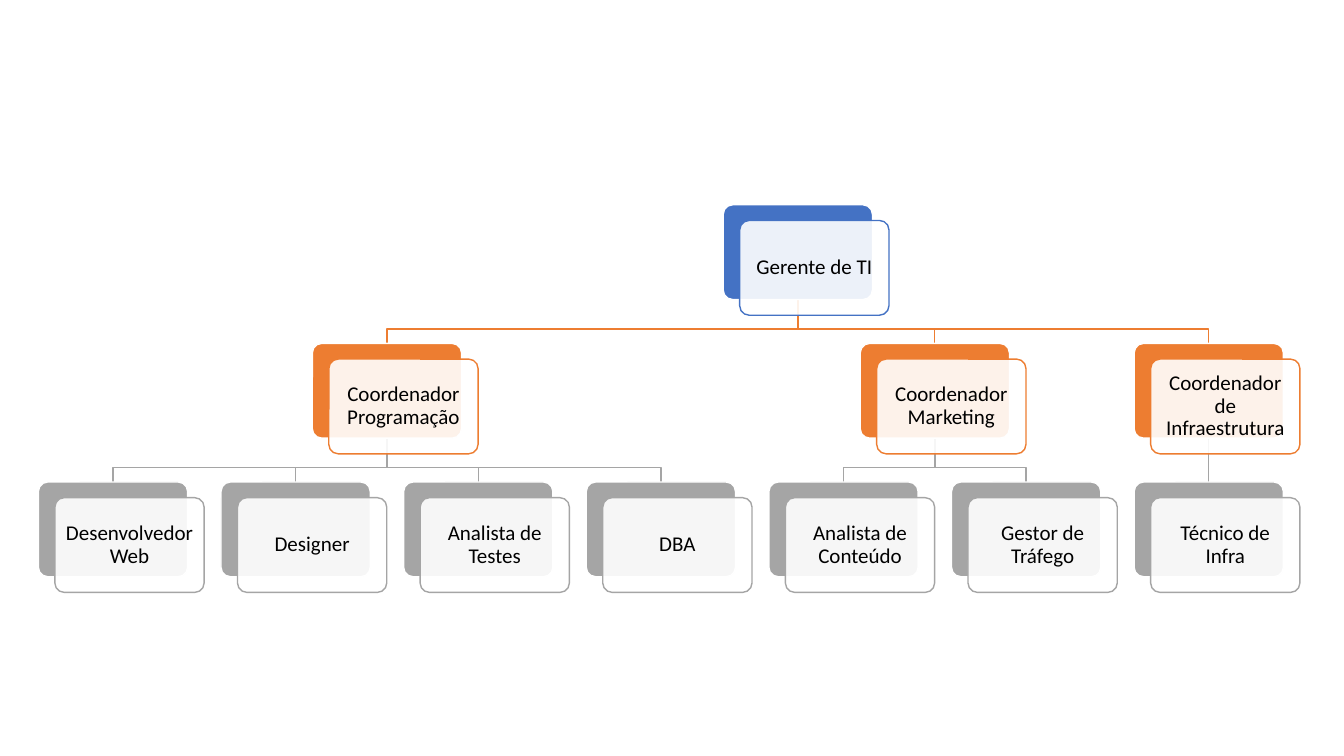
from lxml.etree import SubElement as Sub
from pptx import Presentation
from pptx.dml.color import RGBColor as RGB
from pptx.enum.shapes import MSO_CONNECTOR as LINK, MSO_SHAPE as KIND
from pptx.enum.text import MSO_ANCHOR as ANC, PP_ALIGN as ALIGN
from pptx.oxml.ns import qn
from pptx.util import Pt

TREE = ("Gerente de TI", [
    ("Coordenador Programação", [
        ("Desenvolvedor Web", []),
        ("Designer", []),
        ("Analista de Testes", []),
        ("DBA", []),
    ]),
    ("Coordenador Marketing", [
        ("Analista de Conteúdo", []),
        ("Gestor de Tráfego", []),
    ]),
    ("Coordenador de Infraestrutura", [
        ("Técnico de Infra", []),
    ]),
])

THEME = {
    "ranks": ("4472C4", "ED7D31", "A5A5A5"),
    "paper": "FFFFFF",
    "ink": "000000",
    "font": "Calibri",
    "size": 15,
    "line": 1,
    "alpha": 90,
}

PAGE = (960, 540)
LEFT, TOP = 27.4, 146.3
STEP_X, STEP_Y = 130.45, 99
WIDE, HIGH = 106.6, 67.7
SHIFT_X, SHIFT_Y = 11.8, 11.2
DROP = 21.1
ROUND = 0.1
INSET = 4.2


def put(obj, vals):
    for key, val in vals.items():
        setattr(obj, key, val)


def tint(name):
    return RGB.from_string(THEME[name] if name in THEME else name)


def edge(shape, hue):
    shape.line.color.rgb = tint(hue)
    shape.line.width = Pt(THEME["line"])


def place(node, rank=0, col=0):
    name, kids = node
    subs, span = [], 0
    for kid in kids:
        sub = place(kid, rank + 1, col + span)
        subs.append(sub)
        span += sub["span"]
    spot = (subs[0]["col"] + subs[-1]["col"]) / 2 if subs else col
    return {"name": name, "rank": rank, "col": spot, "span": span or 1,
            "kids": subs, "x": LEFT + spot * STEP_X, "y": TOP + rank * STEP_Y}


def walk(node):
    yield node
    for kid in node["kids"]:
        yield from walk(kid)


def join(shapes, boss, kid):
    hue = THEME["ranks"][kid["rank"]]
    ax, bx = boss["x"] + WIDE / 2, kid["x"] + WIDE / 2
    ay, by = boss["y"] + HIGH, kid["y"]
    if abs(ax - bx) < 0.01:
        link = shapes.add_connector(LINK.STRAIGHT, Pt(ax), Pt(ay), Pt(bx), Pt(by))
        Sub(link._element.spPr, qn("a:effectLst"))
    else:
        bend = ay + DROP
        pen = shapes.build_freeform(Pt(ax), Pt(ay))
        pen.add_line_segments(
            [(Pt(x), Pt(y)) for x, y in ((ax, bend), (bx, bend), (bx, by))], close=False)
        link = pen.convert_to_shape()
        link.fill.background()
        link.shadow.inherit = False
    edge(link, hue)


def plate(shapes, x, y, fill, line):
    shape = shapes.add_shape(KIND.ROUNDED_RECTANGLE, Pt(x), Pt(y), Pt(WIDE), Pt(HIGH))
    shape.adjustments[0] = ROUND
    shape.shadow.inherit = False
    shape.fill.solid()
    shape.fill.fore_color.rgb = tint(fill)
    edge(shape, line)
    return shape


def card(shapes, node):
    hue = THEME["ranks"][node["rank"]]
    x, y = node["x"], node["y"]
    plate(shapes, x, y, hue, "paper")
    front = plate(shapes, x + SHIFT_X, y + SHIFT_Y, "paper", hue)
    shade = front._element.spPr.find(qn("a:solidFill"))[0]
    Sub(shade, qn("a:alpha"), val=str(THEME["alpha"] * 1000))
    frame = front.text_frame
    put(frame, {"word_wrap": True, "vertical_anchor": ANC.MIDDLE})
    put(frame, {"margin_" + side: Pt(INSET) for side in ("left", "top", "right", "bottom")})
    para = frame.paragraphs[0]
    put(para, {"alignment": ALIGN.CENTER, "line_spacing": 0.9})
    run = para.add_run()
    run.text = node["name"]
    put(run.font, {"name": THEME["font"], "size": Pt(THEME["size"])})
    run.font.color.rgb = tint("ink")


deck = Presentation()
put(deck, {"slide_width": Pt(PAGE[0]), "slide_height": Pt(PAGE[1])})
shapes = deck.slides.add_slide(deck.slide_layouts[6]).shapes
nodes = list(walk(place(TREE)))
for boss in nodes:
    for kid in boss["kids"]:
        join(shapes, boss, kid)
for node in nodes:
    card(shapes, node)
deck.save("out.pptx")
